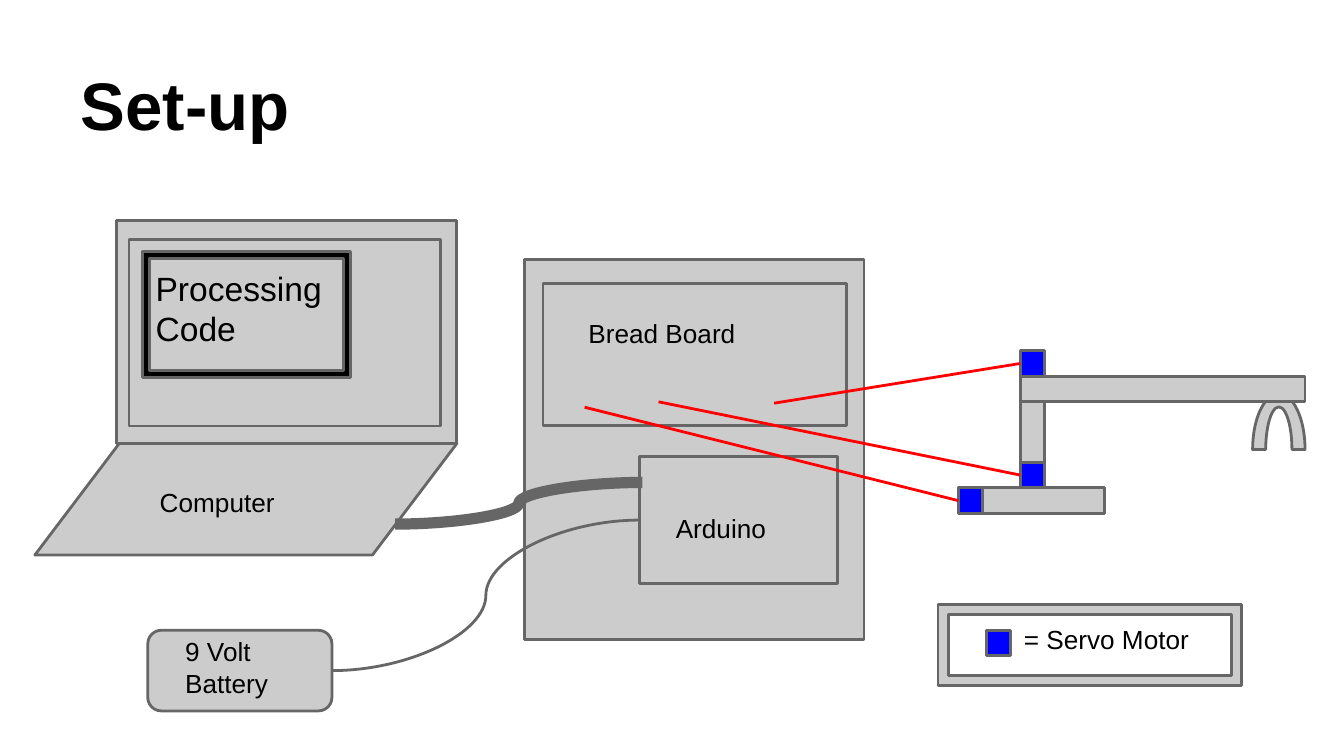
from lxml import etree
from pptx import Presentation
from pptx import util as u
from pptx.dml.color import RGBColor
from pptx.enum import shapes as kinds, text
from pptx.oxml import ns

BLACK = RGBColor(0x00, 0x00, 0x00)
GREY = RGBColor(0xCC, 0xCC, 0xCC)
DARK = RGBColor(0x66, 0x66, 0x66)
BLUE = RGBColor(0x00, 0x00, 0xFF)
RED = RGBColor(0xFF, 0x00, 0x00)
WHITE = RGBColor(0xFF, 0xFF, 0xFF)
SHAPE = kinds.MSO_SHAPE
LINE = kinds.MSO_CONNECTOR
TOP, LEFT, BOTTOM, RIGHT = range(4)
SERVO = (0.18, 0.19)


def place(box, part):
    left, top, width, height = part
    return [u.Inches(n) for n in (box[0] + left, box[1] + top, width, height)]


def whole(box):
    return 0, 0, box[2], box[3]


def add_block(page, box, part, kind=SHAPE.RECTANGLE, fill=GREY, adjust=()):
    block = page.shapes.add_shape(kind, *place(box, part))
    block.shadow.inherit = False
    block.fill.solid()
    block.fill.fore_color.rgb = fill
    block.line.color.rgb = DARK
    block.line.width = u.Pt(1.5)
    for index, value in enumerate(adjust):
        block.adjustments[index] = value
    return block


def add_servo(page, box, left, top):
    return add_block(page, box, (left, top, *SERVO), fill=BLUE)


def format_text(frame, size, bold=False):
    frame.word_wrap = True
    frame.auto_size = text.MSO_AUTO_SIZE.NONE
    frame.margin_left = frame.margin_right = u.Inches(0.1)
    frame.margin_top = frame.margin_bottom = u.Inches(0.1)
    for para in frame.paragraphs:
        para.alignment = text.PP_ALIGN.LEFT
        for span in para.runs:
            span.font.name = "Arial"
            span.font.size = u.Pt(size)
            span.font.bold = bold
            span.font.color.rgb = BLACK


def add_label(page, box, part, words, size=14):
    label = page.shapes.add_textbox(*place(box, part))
    label.text_frame.text = words
    format_text(label.text_frame, size)


def add_wire(page, kind, start, end, color, width=1.5):
    wire = page.shapes.add_connector(kind, *[u.Inches(n) for n in (*start, *end)])
    wire.line.color.rgb = color
    wire.line.width = u.Pt(width)
    etree.SubElement(wire._element.spPr, ns.qn("a:effectLst"))
    return wire


def add_title(page, box):
    title = page.shapes.title
    title.left, title.top, title.width, title.height = place(box, whole(box))
    title.text_frame.text = "Set-up"
    title.text_frame.vertical_anchor = text.MSO_ANCHOR.BOTTOM
    format_text(title.text_frame, 36, bold=True)


def add_computer(page, box):
    add_block(page, box, (0.61, 0, 2.53, 1.66))
    add_block(page, box, (0, 1.66, 3.14, 0.83), SHAPE.FLOWCHART_DATA)
    add_block(page, box, (0.7, 0.14, 2.32, 1.39))
    add_label(page, box, (0.83, 1.88, 1.64, 0.39), "Computer")
    add_label(page, box, (0.8, 0.25, 1.67, 1.06), "Processing Code", 18)
    add_block(page, box, (0.8, 0.23, 1.55, 0.94), SHAPE.FRAME, BLACK, [0.057])


def add_board(page, box):
    add_block(page, box, whole(box))
    add_block(page, box, (0.14, 0.18, 2.26, 1.06))
    arduino = add_block(page, box, (0.86, 1.47, 1.47, 0.94))
    add_label(page, box, (0.38, 0.33, 1.64, 0.55), "Bread Board")
    add_label(page, box, (1.03, 1.78, 1.09, 0.32), "Arduino")
    return arduino


def add_arm(page, box):
    add_block(page, box, (0, 1.02, 1.09, 0.19))
    add_block(page, box, (0.46, 0.19, 0.18, 0.83))
    add_block(page, box, (2.19, 0.32, 0.39, 0.83), SHAPE.BLOCK_ARC, adjust=[108, 0, 0.25])
    add_block(page, box, (0.46, 0.19, 2.12, 0.19))
    return [add_servo(page, box, left, top)
            for left, top in ((0.46, 0.83), (0, 1.02), (0.46, 0))]


def add_battery(page, box):
    battery = add_block(page, box, whole(box), SHAPE.ROUNDED_RECTANGLE, adjust=[0.167])
    add_label(page, box, (0.18, -0.06, 1.2, 0.55), "9 Volt Battery")
    return battery


def add_legend(page, box):
    add_servo(page, box, 0.36, 0.19)
    add_label(page, box, (0.54, 0.04, 1.64, 0.39), "= Servo Motor")
    add_block(page, box, whole(box), SHAPE.FRAME, adjust=[0.125])


def add_wiring(page, arduino, battery, servos):
    add_wire(page, LINE.CURVE, (2.94, 3.9), (4.78, 3.59), DARK, 6)
    power = add_wire(page, LINE.CURVE, (2.47, 4.99), (4.76, 3.87), DARK)
    power.begin_connect(battery, RIGHT)
    power.end_connect(arduino, LEFT)
    pins = ((4.9, 2.99), (4.35, 3.03), (5.76, 3))
    for pin, servo in zip(pins, servos):
        end = servo.left.inches, servo.top.inches + SERVO[1] / 2
        add_wire(page, LINE.STRAIGHT, pin, end, RED).end_connect(servo, LEFT)


def main():
    deck = Presentation()
    deck.slide_width = u.Inches(10)
    deck.slide_height = u.Inches(10 * 9 / 16)
    page = deck.slides.add_slide(deck.slide_layouts[5])
    page.background.fill.solid()
    page.background.fill.fore_color.rgb = WHITE
    add_title(page, (0.5, 0.23, 9, 0.94))
    add_computer(page, (0.26, 1.64, 3.14, 2.49))
    arduino = add_board(page, (3.9, 1.93, 2.53, 2.83))
    servos = add_arm(page, (7.13, 2.61, 2.58, 1.21))
    battery = add_battery(page, (1.1, 4.69, 1.37, 0.6))
    add_wiring(page, arduino, battery, servos)
    add_legend(page, (6.98, 4.5, 2.26, 0.6))
    deck.save("out.pptx")


if __name__ == "__main__":
    main()
